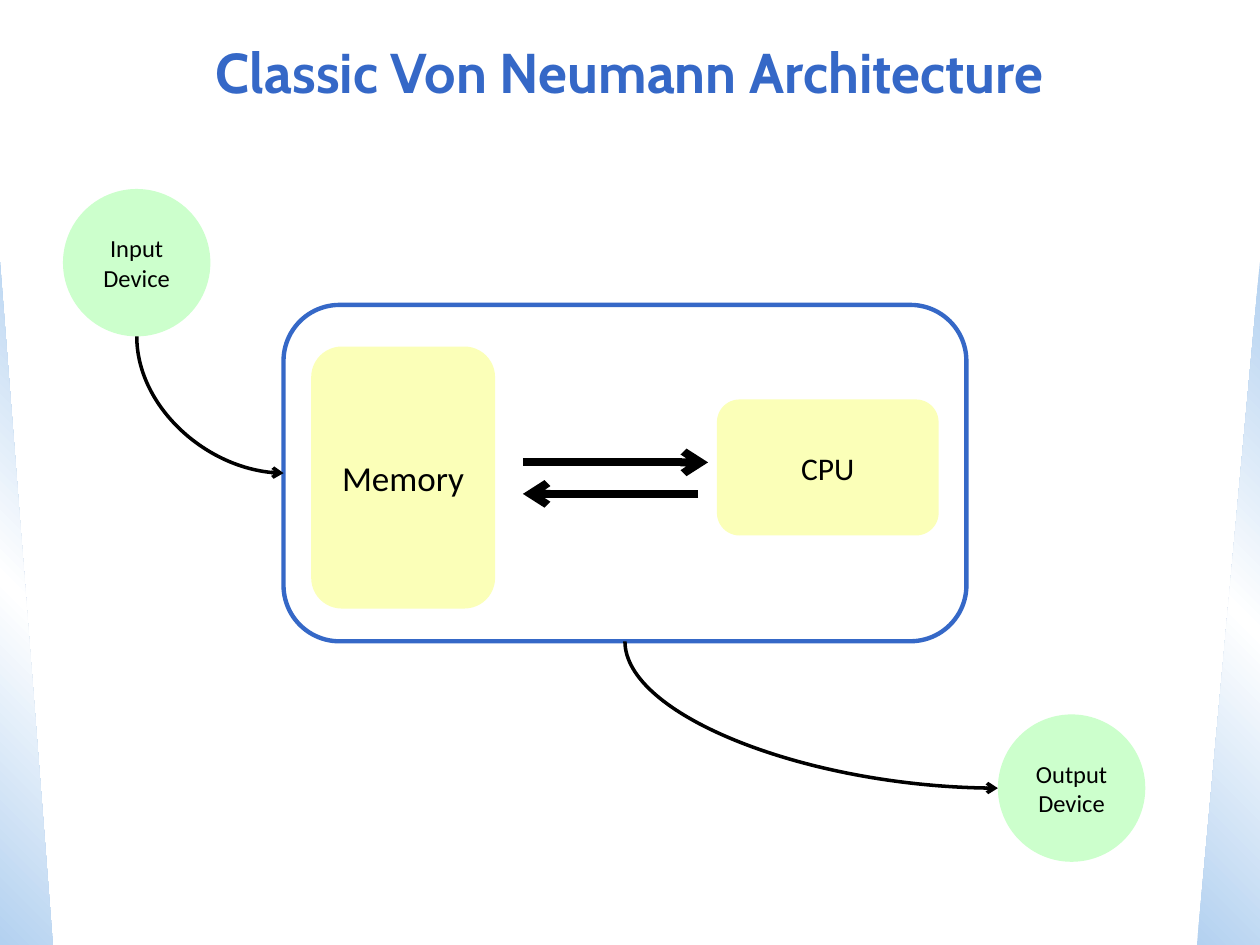
import copy

import pptx
import pptx.dml.color
import pptx.enum.shapes
import pptx.enum.text
import pptx.oxml
import pptx.oxml.ns
import pptx.util

Inches = pptx.util.Inches
Pt = pptx.util.Pt
SHAPE = pptx.enum.shapes.MSO_SHAPE
CONNECTOR = pptx.enum.shapes.MSO_CONNECTOR
qn = pptx.oxml.ns.qn

BLUE, BLACK, GREEN, YELLOW = "3568C7", "000000", "CCFFCC", "FBFFB8"
PALE_BLUE, WHITE = "B3D1F0", "FFFFFF"


def color(value):
    return pptx.dml.color.RGBColor.from_string(value)


def write(shape, lines, font, size, value, bold=False):
    frame = shape.text_frame
    frame.word_wrap = True
    frame.vertical_anchor = pptx.enum.text.MSO_ANCHOR.MIDDLE
    frame.text = "\n".join(lines)
    for para in frame.paragraphs:
        para.alignment = pptx.enum.text.PP_ALIGN.CENTER
        para.font.name = font
        para.font.size = Pt(size)
        para.font.bold = bold
        para.font.color.rgb = color(value)


def add_plain_shape(page, kind, box):
    shape = page.shapes.add_shape(kind, *map(Inches, box))
    shape.shadow.inherit = False
    shape.line.fill.background()
    return shape


def add_node(page, kind, box, fill, lines, size):
    node = add_plain_shape(page, kind, box)
    node.fill.solid()
    node.fill.fore_color.rgb = color(fill)
    write(node, lines, "Calibri", size, BLACK)
    return node


def add_arrow(page, kind, start, end, width):
    arrow = page.shapes.add_connector(kind, *map(Inches, (*start, *end)))
    arrow.line.color.rgb = color(BLACK)
    arrow.line.width = Pt(width)
    line = arrow.line._get_or_add_ln()
    pptx.oxml.ns.qn("a:tailEnd")
    line.append(line.makeelement(qn("a:tailEnd"), {"type": "arrow"}))
    properties = arrow._element.spPr
    properties.append(properties.makeelement(qn("a:effectLst"), {}))
    return arrow


def add_bend(page, start, end, width=2):
    center_x, center_y = (start[0] + end[0]) / 2, (start[1] + end[1]) / 2
    half_width, half_height = (end[1] - start[1]) / 2, (end[0] - start[0]) / 2
    bend = add_arrow(
        page,
        CONNECTOR.CURVE,
        (center_x + half_width, center_y - half_height),
        (center_x - half_width, center_y + half_height),
        width,
    )
    properties = bend._element.spPr
    properties.find(qn("a:xfrm")).set("rot", str(270 * 60000))
    properties.find(qn("a:prstGeom")).set("prst", "curvedConnector2")


def add_side_wedge(page, box, angle, mirrored=False):
    wedge = add_plain_shape(page, SHAPE.RIGHT_TRIANGLE, box)
    properties = wedge._element.spPr
    if mirrored:
        properties.find(qn("a:xfrm")).set("flipH", "1")
    wedge.fill.gradient()
    wedge.fill.gradient_angle = angle
    stops = properties.find(qn("a:gradFill")).find(qn("a:gsLst"))
    stops.append(copy.deepcopy(stops[0]))
    shades = ((0, PALE_BLUE), (0.5, WHITE), (1, PALE_BLUE))
    for stop, (position, shade) in zip(wedge.fill.gradient_stops, shades):
        stop.position = position
        stop.color.rgb = color(shade)


def add_title(page, box, text):
    title = page.shapes.add_textbox(*map(Inches, box))
    write(title, [text], "Cabin", 32, BLUE, bold=True)


def add_device(page, box, name):
    add_node(page, SHAPE.OVAL, box, GREEN, [name, "Device"], 14)


def add_computer(page, box):
    left, top, width, height = box
    rounded = SHAPE.ROUNDED_RECTANGLE
    add_node(page, rounded, (left + 3.44, top + 0.75, 1.76, 1.08), YELLOW, ["CPU"], 18)
    add_node(page, rounded, (left + 0.22, top + 0.33, 1.46, 2.08), YELLOW, ["Memory"], 20)
    to_cpu, to_memory = top + 1.25, top + 1.5
    add_arrow(page, CONNECTOR.STRAIGHT, (left + 1.9, to_cpu), (left + 3.37, to_cpu), 4.5)
    add_arrow(page, CONNECTOR.STRAIGHT, (left + 3.29, to_memory), (left + 1.9, to_memory), 4.5)
    frame = add_plain_shape(page, rounded, box)
    frame.fill.background()
    frame.line.color.rgb = color(BLUE)
    frame.line.width = Pt(2.5)


def main():
    deck = pptx.Presentation()
    deck.slide_width, deck.slide_height = Inches(10), Inches(7.5)
    page = deck.slides.add_slide(deck.slide_layouts[6])

    add_side_wedge(page, (0, 2.08, 0.42, 5.42), 45)
    add_side_wedge(page, (9.5, 2.08, 0.5, 5.42), 315, mirrored=True)
    add_title(page, (0.75, 0.13, 8.5, 0.87), "Classic Von Neumann Architecture")

    size = 1.17
    input_left, input_top = 0.5, 1.5
    output_left, output_top = 7.92, 5.67
    left, top, width, height = computer = (2.25, 2.42, 5.42, 2.67)
    add_device(page, (input_left, input_top, size, size), "Input")
    add_device(page, (output_left, output_top, size, size), "Output")
    add_computer(page, computer)
    add_bend(page, (input_left + size / 2, input_top + size), (left, top + height / 2))
    add_bend(page, (left + width / 2, top + height), (output_left, output_top + size / 2))

    deck.save("out.pptx")


if __name__ == "__main__":
    main()
